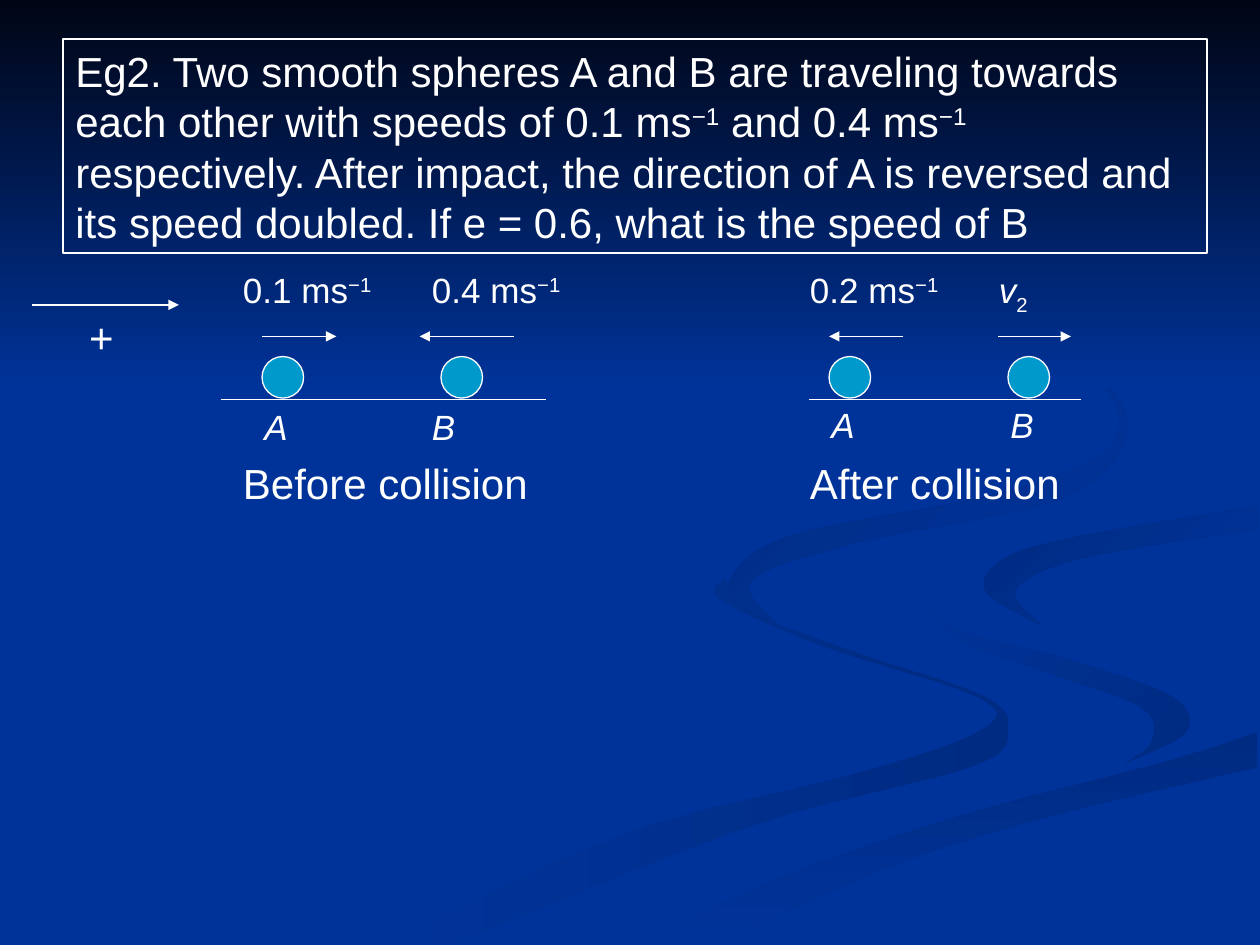
"""Build a slide on two spheres before and after a collision."""
from pptx import Presentation
from pptx.dml.color import RGBColor
from pptx.enum.shapes import MSO_CONNECTOR, MSO_SHAPE
from pptx.enum.text import MSO_ANCHOR, MSO_AUTO_SIZE, PP_ALIGN
from pptx.oxml.ns import qn
from pptx.util import Inches, Pt
from lxml import etree

STRAIGHT = MSO_CONNECTOR.STRAIGHT
RECT, OVAL = MSO_SHAPE.RECTANGLE, MSO_SHAPE.OVAL
TOP, LEFT, GROW = MSO_ANCHOR.TOP, PP_ALIGN.LEFT, MSO_AUTO_SIZE.SHAPE_TO_FIT_TEXT

THEME = {
    "font": "Arial", "text": "FFFFFF", "line": "FFFFFF", "ball": "0099CC",
    "back": "003399", "night": "000514", "shade": "002B82",
    "body": 24, "label": 20, "rule": 0.75,
}
SUPER, SUB = 30, -25
PER_SECOND = ("−1", SUPER)

QUESTION = [
    ("Eg2. Two smooth spheres A and B are traveling towards each other with speeds of 0.1 ms", 0),
    PER_SECOND, (" and 0.4 ms", 0), PER_SECOND,
    (" respectively. After impact, the direction of A is reversed and its speed doubled. "
     "If e = 0.6, what is the speed of B", 0),
]

STAGES = [
    {"title": "Before collision", "left": 1.83, "ground": (1.75, 4.33), "name_top": 3.17,
     "balls": [
         {"name": "A", "name_dx": 0.17, "speed": [("0.1 ms", 0), PER_SECOND],
          "italic": False, "arrow": (0.25, 0.84)},
         {"name": "B", "name_dx": 1.5, "speed": [("0.4 ms", 0), PER_SECOND],
          "italic": False, "arrow": (2.25, 1.5)}]},
    {"title": "After collision", "left": 6.33, "ground": (6.42, 8.58), "name_top": 3.15,
     "balls": [
         {"name": "A", "name_dx": 0.17, "speed": [("0.2 ms", 0), PER_SECOND],
          "italic": False, "arrow": (0.84, 0.25)},
         {"name": "B", "name_dx": 1.59, "speed": [("v", 0), ("2", SUB)],
          "italic": True, "arrow": (1.59, 2.17)}]},
]
BALL_DX, SPEED_DX, BALL = (0.25, 1.67), (0, 1.5), 0.33
SPEED_TOP, ARROW_Y, BALL_TOP, GROUND_Y, TITLE_TOP = 2.08, 2.67, 2.83, 3.17, 3.58

FADE_OUT, FADE_IN = ("back", "shade"), ("shade", "back")
STEPS = 6
RIBBONS = [
    (FADE_OUT, 0,
     [(5.75, 4.59), (5.94, 4.85), (6.82, 5.19), (7.81, 5.53), (8, 5.81), (7.69, 6.09),
      (5.94, 6.56), (3.61, 7.49)],
     [(5.75, 4.59), (5.72, 4.76), (6.54, 5.13), (7.76, 5.53), (7.8, 5.79), (6.84, 6.13),
      (4.99, 6.61), (3, 7.49)]),
    (FADE_OUT, 45,
     [(7.24, 4.64), (7.58, 4.98), (8.5, 5.24), (9.3, 5.53), (9.41, 5.81), (8.94, 6.05)],
     [(7.24, 4.64), (7.55, 5.05), (8.38, 5.36), (9.07, 5.62), (9.14, 5.89), (8.94, 6.05)]),
    (FADE_IN, 90,
     [(5.03, 7.49), (6.3, 6.93), (7.64, 6.47), (9.2, 6.06), (9.98, 5.81)],
     [(5.71, 7.49), (6.95, 6.92), (8.21, 6.51), (9.98, 6.09)]),
    (FADE_IN, 45,
     [(9.98, 4.02), (8.65, 4.24), (7.99, 4.42), (7.82, 4.69), (8.26, 4.96)],
     [(9.98, 4.2), (8.59, 4.43), (8.06, 4.68), (8.26, 4.96)]),
    (FADE_IN, 45,
     [(7.62, 2.33), (8.64, 2.91), (8.94, 3.44), (8.41, 3.96), (6.83, 4.3), (5.96, 4.61),
      (6.22, 5)],
     [(7.62, 2.33), (8.7, 2.99), (8.82, 3.54), (7.91, 3.92), (6.25, 4.26), (5.78, 4.68),
      (6.22, 5)]),
]


def rgb(name):
    return RGBColor.from_string(THEME[name])


def blend(a, b, c, d, t):
    return b + t / 2 * (c - a + t * (2 * a - 5 * b + 4 * c - d + t * (3 * (b - c) + d - a)))


def smooth_edge(knots):
    padded = [knots[0], *knots, knots[-1]]
    points = []
    for window in zip(padded, padded[1:], padded[2:], padded[3:]):
        for step in range(STEPS):
            points.append(tuple(blend(*axis, step / STEPS) for axis in zip(*window)))
    return points + [knots[-1]]


def style(sp, colors=(), angle=0, outlined=False):
    sp.shadow.inherit = False
    if len(colors) == 2:
        sp.fill.gradient()
        sp.fill.gradient_angle = (360 - angle) % 360
        for stop, color in zip(sp.fill.gradient_stops, colors):
            stop.color.rgb = rgb(color)
    elif colors:
        sp.fill.solid()
        sp.fill.fore_color.rgb = rgb(colors[0])
    else:
        sp.fill.background()
    if outlined:
        sp.line.color.rgb = rgb("line")
        sp.line.width = Pt(THEME["rule"])
    else:
        sp.line.fill.background()


def add_ribbon(s, colors, angle, outer, inner):
    outline = smooth_edge(outer) + smooth_edge(inner)[::-1]
    start, *rest = [(Inches(x), Inches(y)) for x, y in outline]
    builder = s.shapes.build_freeform(*start, scale=1.0)
    builder.add_line_segments(rest, close=True)
    style(builder.convert_to_shape(), colors, angle)


def add_block(s, kind, box, colors=(), angle=0, outlined=False):
    sp = s.shapes.add_shape(kind, *map(Inches, box))
    style(sp, colors, angle, outlined)
    return sp


def write(sp, runs, size, italic=False):
    tf = sp.text_frame
    tf.word_wrap, tf.auto_size, tf.vertical_anchor = True, GROW, TOP
    p = tf.paragraphs[0]
    p.alignment = LEFT
    for text, shift in runs:
        r = p.add_run()
        r.text = text
        r.font.name, r.font.size = THEME["font"], Pt(THEME[size])
        r.font.color.rgb = rgb("text")
        r.font.italic = italic and not shift
        if shift:
            r.font._element.set("baseline", str(shift * 1000))


def add_label(s, box, runs, size, italic=False):
    write(s.shapes.add_textbox(*map(Inches, box)), runs, size, italic)


def add_rule(s, x1, x2, y, arrow=False):
    line = s.shapes.add_connector(STRAIGHT, Inches(x1), Inches(y), Inches(x2), Inches(y))
    line.line.color.rgb = rgb("line")
    line.line.width = Pt(THEME["rule"])
    if arrow:
        etree.SubElement(line.line._get_or_add_ln(), qn("a:tailEnd"), type="triangle")
    etree.SubElement(line._element.spPr, qn("a:effectLst"))


def add_stage(s, stage):
    left = stage["left"]
    add_rule(s, *stage["ground"], GROUND_Y)
    for ball, ball_dx, speed_dx in zip(stage["balls"], BALL_DX, SPEED_DX):
        add_block(s, OVAL, (left + ball_dx, BALL_TOP, BALL, BALL), ("ball",), outlined=True)
        add_rule(s, *(left + dx for dx in ball["arrow"]), ARROW_Y, arrow=True)
        add_label(s, (left + speed_dx, SPEED_TOP, 1.42, 0.44), ball["speed"],
                  "label", ball["italic"])
        add_label(s, (left + ball["name_dx"], stage["name_top"], 0.67, 0.44),
                  [(ball["name"], 0)], "label", italic=True)
    add_label(s, (left, TITLE_TOP, 2.5, 0.5), [(stage["title"], 0)], "body")


def main():
    prs = Presentation()
    prs.slide_width, prs.slide_height = Inches(10), Inches(7.5)
    s = prs.slides.add_slide(prs.slide_layouts[6])
    s.background.fill.solid()
    s.background.fill.fore_color.rgb = rgb("back")
    for ribbon in RIBBONS:
        add_ribbon(s, *ribbon)
    add_block(s, RECT, (0, 0, 10, 3.08), ("night", "back"), 90)
    write(add_block(s, RECT, (0.5, 0.31, 9.08, 1.7), outlined=True), QUESTION, "body")
    for stage in STAGES:
        add_stage(s, stage)
    add_rule(s, 0.25, 1.42, 2.42, arrow=True)
    add_label(s, (0.61, 2.42, 0.56, 0.5), [("+", 0)], "body")
    prs.save("out.pptx")


if __name__ == "__main__":
    main()
